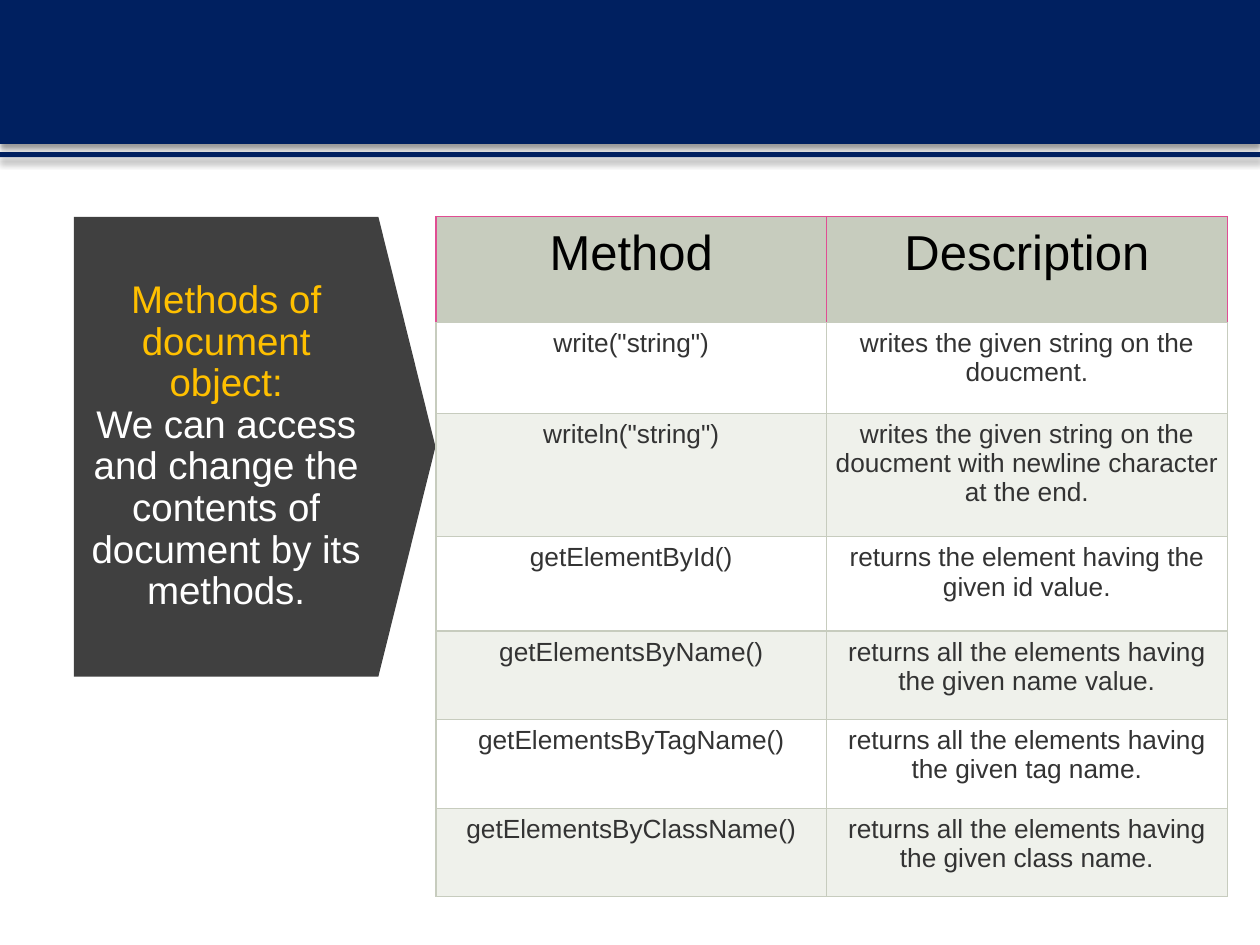
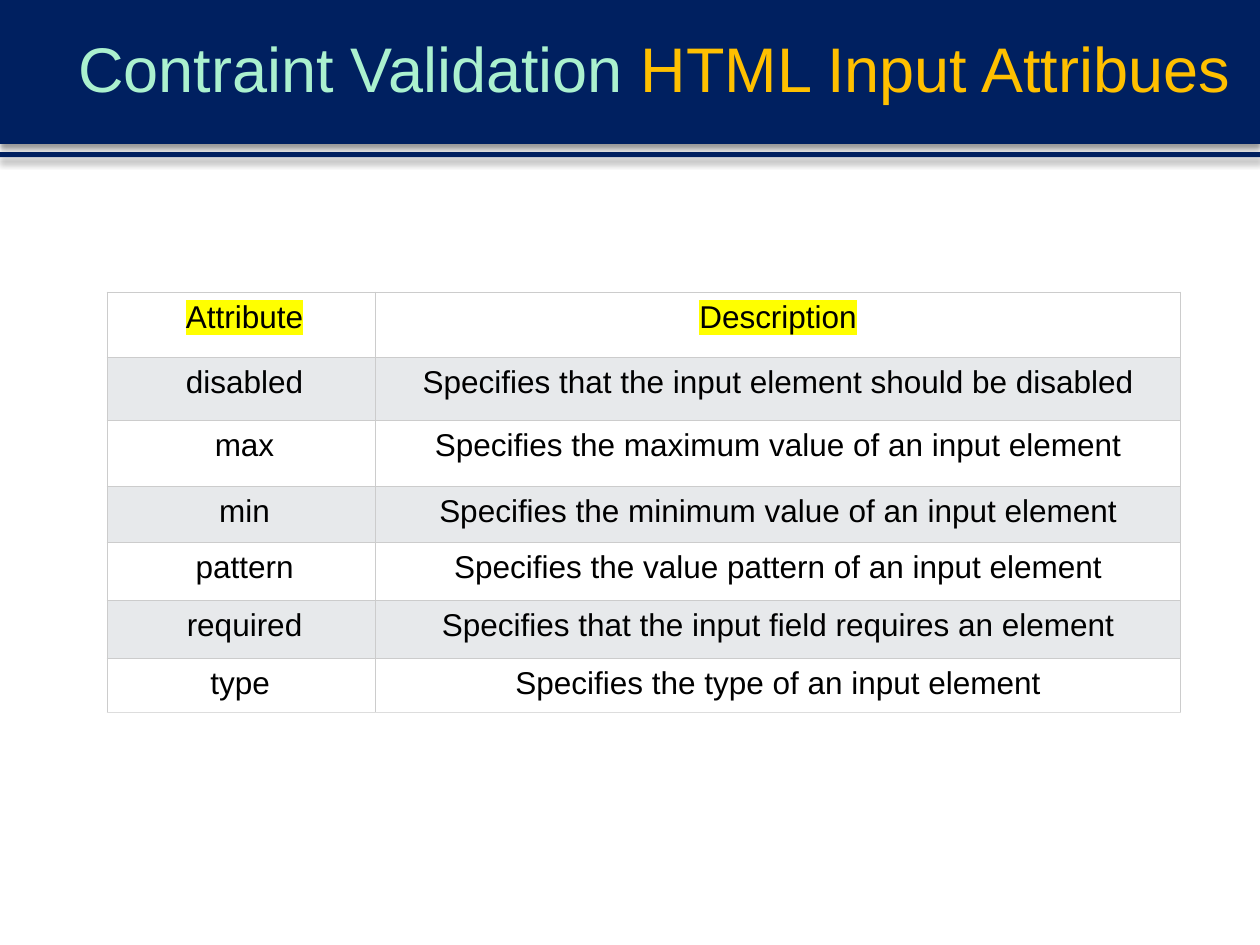
"""Build two slides on document methods and input validation attributes."""
from dataclasses import dataclass

from lxml import etree
from pptx import Presentation
from pptx import util as u
from pptx.dml.color import RGBColor
from pptx.enum import shapes, text
from pptx.oxml.ns import qn

FONT = "Arial"
COLORS = {
    "navy": "002060",
    "charcoal": "404040",
    "gold": "FFC000",
    "mint": "ABF1CF",
    "white": "FFFFFF",
    "black": "000000",
    "body": "333333",
    "sage": "C7CCBE",
    "pale_sage": "EFF1EB",
    "pink": "E04E93",
    "rule": "CCCCCC",
    "light_rule": "DDDDDD",
    "pale_gray": "E7E9EB",
    "yellow": "FFFF00",
}
SLIDE_WIDTH, SLIDE_HEIGHT = 25.4, 19.05
TITLE_BAND_HEIGHT = 2.9


@dataclass(frozen=True)
class Box:
    """Position and size in centimetres."""

    left: float
    top: float
    width: float
    height: float

    def lengths(self) -> list[u.Length]:
        """Return left, top, width and height as lengths."""
        return [u.Cm(value) for value in (self.left, self.top, self.width, self.height)]


@dataclass(frozen=True)
class TextStyle:
    """Size and colours of a run."""

    size: float
    color: str
    highlight: str | None = None


@dataclass(frozen=True)
class TitlePart:
    """One coloured part of a title."""

    words: str
    color: str
    break_after: bool = False


@dataclass(frozen=True)
class TableDesign:
    """Look and measures of a table."""

    left: float
    top: float
    columns: list[float]
    rows: list[float]
    header: TextStyle
    body: TextStyle
    header_fill: str
    stripe_fill: str
    stripe_parity: int
    border: str
    header_border: str
    last_border: str
    header_margin: float
    body_margin: float
    first_column_margin: float | None = None


BANDS = [
    Box(0, 0, SLIDE_WIDTH, TITLE_BAND_HEIGHT),
    Box(0, 3.07, SLIDE_WIDTH, 0.1),
]

METHODS = [
    ("Method", "Description"),
    ('write("string")', "writes the given string on the doucment."),
    ('writeln("string")',
     "writes the given string on the doucment with newline character at the end."),
    ("getElementById()", "returns the element having the given id value."),
    ("getElementsByName()", "returns all the elements having the given name value."),
    ("getElementsByTagName()", "returns all the elements having the given tag name."),
    ("getElementsByClassName()", "returns all the elements having the given class name."),
]
METHODS_DESIGN = TableDesign(
    left=8.79, top=4.37, columns=[7.87, 8.08],
    rows=[2.13, 1.83, 2.49, 1.9, 1.78, 1.8, 1.78],
    header=TextStyle(28, "black"), body=TextStyle(15, "body"),
    header_fill="sage", stripe_fill="pale_sage", stripe_parity=0,
    border="sage", header_border="pink", last_border="sage",
    header_margin=0.18, body_margin=0.13,
)

ATTRIBUTES = [
    ("Attribute", "Description"),
    ("disabled", "Specifies that the input element should be disabled"),
    ("max", "Specifies the maximum value of an input element"),
    ("min", "Specifies the minimum value of an input element"),
    ("pattern", "Specifies the value pattern of an input element"),
    ("required", "Specifies that the input field requires an element"),
    ("type ", "Specifies the type of an input element"),
]
ATTRIBUTES_DESIGN = TableDesign(
    left=2.16, top=5.89, columns=[5.41, 16.23],
    rows=[1.32, 1.27, 1.32, 1.14, 1.17, 1.17, 1.09],
    header=TextStyle(18, "black", "yellow"), body=TextStyle(18, "black"),
    header_fill="white", stripe_fill="pale_gray", stripe_parity=1,
    border="rule", header_border="rule", last_border="light_rule",
    header_margin=0.15, body_margin=0.15, first_column_margin=0.28,
)


def rgb(name: str) -> RGBColor:
    """Return a named colour."""
    return RGBColor.from_string(COLORS[name])


def add_color(parent, name: str):
    """Append a colour element and return it."""
    return etree.SubElement(parent, qn("a:srgbClr"), val=COLORS[name])


def format_run(run, style: TextStyle) -> None:
    """Apply a text style to a run."""
    run.font.size = u.Pt(style.size)
    run.font.color.rgb = rgb(style.color)
    if style.highlight:
        properties = run._r.get_or_add_rPr()
        add_color(etree.SubElement(properties, qn("a:highlight")), style.highlight)
    run.font.name = FONT


def add_filled_shape(slide, kind, box: Box, color: str):
    """Add a plain filled shape without line or shadow."""
    shape = slide.shapes.add_shape(kind, *box.lengths())
    shape.fill.solid()
    shape.fill.fore_color.rgb = rgb(color)
    shape.line.fill.background()
    shape.shadow.inherit = False
    return shape


def add_bands_to_layout(slide) -> None:
    """Place the shadowed header bands on the slide's layout."""
    for index, box in enumerate(BANDS):
        band = add_filled_shape(slide, shapes.MSO_SHAPE.RECTANGLE, box, "navy")
        effects = band.element.spPr.find(qn("a:effectLst"))
        shadow = etree.SubElement(
            effects, qn("a:outerShdw"), blurRad=str(u.Pt(4)), dist=str(u.Pt(3)),
            dir="5400000", algn="t", rotWithShape="0",
        )
        etree.SubElement(add_color(shadow, "black"), qn("a:alpha"), val="40000")
        band.element.nvSpPr.cNvPr.set("id", str(20 + index))
        slide.slide_layout.shapes.element.insert(2 + index, band.element)


def set_title(slide, box: Box, parts: list[TitlePart], size: float, alignment) -> None:
    """Move the title placeholder and fill it with coloured parts."""
    title = slide.shapes.title
    title.left, title.top, title.width, title.height = box.lengths()
    frame = title.text_frame
    frame.word_wrap = True
    frame.auto_size = text.MSO_AUTO_SIZE.NONE
    frame.vertical_anchor = text.MSO_ANCHOR.MIDDLE
    paragraph = frame.paragraphs[0]
    paragraph.alignment = alignment
    paragraph.line_spacing = 0.9
    for part in parts:
        run = paragraph.add_run()
        run.text = part.words
        format_run(run, TextStyle(size, part.color))
        if part.break_after:
            paragraph.add_line_break()


def set_borders(cell, sides: str, bottom: str) -> None:
    """Draw thin lines around a cell."""
    properties = cell._tc.get_or_add_tcPr()
    for side, color in zip("LRTB", (sides, sides, sides, bottom)):
        line = etree.SubElement(properties, qn(f"a:ln{side}"), w=str(u.Pt(0.75)))
        add_color(etree.SubElement(line, qn("a:solidFill")), color)


def format_cell(cell, design: TableDesign, row: int, column: int) -> None:
    """Format a cell by its place in the table."""
    is_header = row == 0
    is_last = row == len(design.rows) - 1
    margin = design.header_margin if is_header else design.body_margin
    cell.margin_left = cell.margin_right = u.Cm(margin)
    cell.margin_top = cell.margin_bottom = u.Cm(margin)
    if column == 0 and design.first_column_margin:
        cell.margin_left = u.Cm(design.first_column_margin)
    set_borders(
        cell,
        design.header_border if is_header else design.border,
        design.last_border if is_last else design.border,
    )
    is_striped = row % 2 == design.stripe_parity
    body_fill = design.stripe_fill if is_striped else "white"
    cell.fill.solid()
    cell.fill.fore_color.rgb = rgb(design.header_fill if is_header else body_fill)
    paragraph = cell.text_frame.paragraphs[0]
    paragraph.alignment = text.PP_ALIGN.CENTER
    format_run(paragraph.runs[0], design.header if is_header else design.body)


def add_table(slide, records: list[tuple[str, str]], design: TableDesign) -> None:
    """Add a table of records."""
    box = Box(design.left, design.top, sum(design.columns), sum(design.rows))
    table = slide.shapes.add_table(
        len(design.rows), len(design.columns), *box.lengths()
    ).table
    table.first_row = table.horz_banding = False
    for column, width in zip(table.columns, design.columns):
        column.width = u.Cm(width)
    for row, height in zip(table.rows, design.rows):
        row.height = u.Cm(height)
    for row_index, record in enumerate(records):
        for column_index, words in enumerate(record):
            cell = table.cell(row_index, column_index)
            cell.text_frame.text = words
            format_cell(cell, design, row_index, column_index)


def build_methods_slide(slide) -> None:
    """Build the slide on document methods."""
    arrow = add_filled_shape(
        slide, shapes.MSO_SHAPE.DOWN_ARROW, Box(0.5, 5.36, 9.27, 7.29), "charcoal"
    )
    arrow.rotation = 270
    arrow.adjustments[0] = 1
    arrow.adjustments[1] = 0.158
    slide.shapes.title.element.addprevious(arrow.element)
    parts = [
        TitlePart("Methods of document object:", "gold", break_after=True),
        TitlePart("We can access and change the contents of document by its methods.",
                  "white"),
    ]
    set_title(slide, Box(1.5, 4.37, 6.12, 9.27), parts, 22, text.PP_ALIGN.CENTER)
    add_table(slide, METHODS, METHODS_DESIGN)


def build_attributes_slide(slide) -> None:
    """Build the slide on input attributes."""
    parts = [
        TitlePart("Contraint Validation ", "mint"),
        TitlePart("HTML Input Attribues", "gold"),
    ]
    box = Box(1.32, 0, 24.08, TITLE_BAND_HEIGHT)
    set_title(slide, box, parts, 36, text.PP_ALIGN.LEFT)
    add_table(slide, ATTRIBUTES, ATTRIBUTES_DESIGN)


def main() -> None:
    """Build and save the presentation."""
    presentation = Presentation()
    presentation.slide_width = u.Cm(SLIDE_WIDTH)
    presentation.slide_height = u.Cm(SLIDE_HEIGHT)
    layout = presentation.slide_layouts.get_by_name("Title Only")
    methods_slide = presentation.slides.add_slide(layout)
    add_bands_to_layout(methods_slide)
    build_methods_slide(methods_slide)
    build_attributes_slide(presentation.slides.add_slide(layout))
    presentation.save("out.pptx")


if __name__ == "__main__":
    main()
